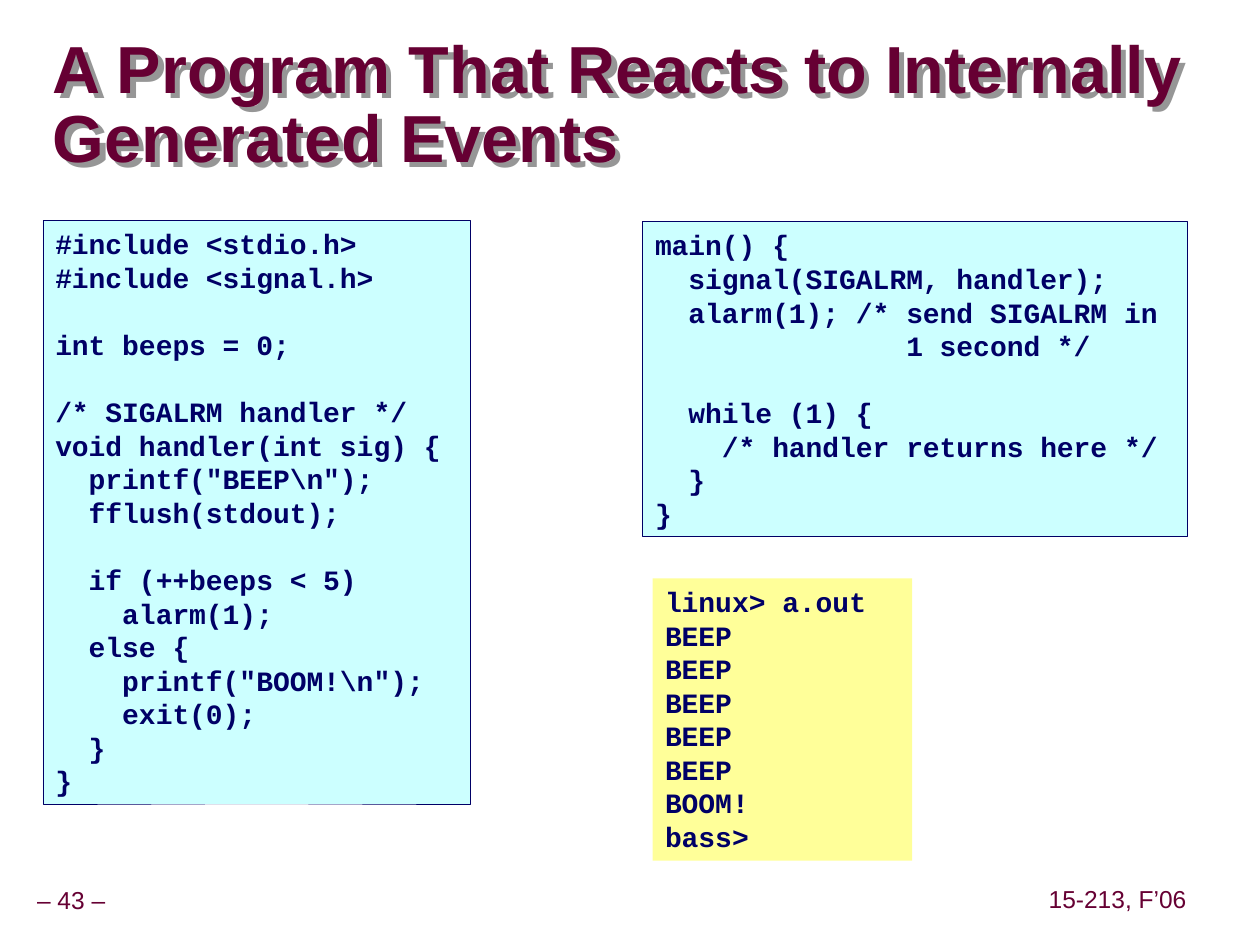
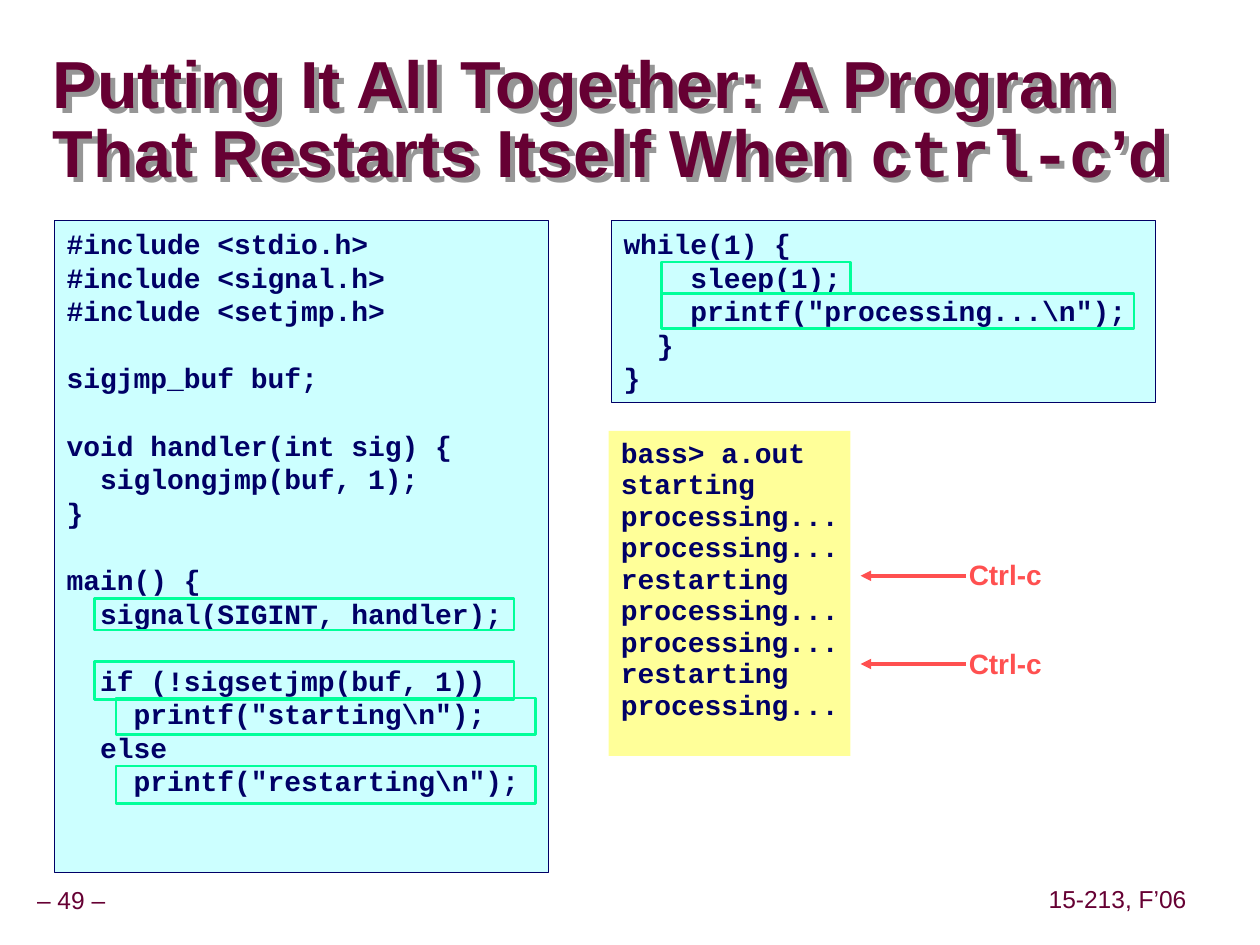
from lxml import etree
from pptx import Presentation
from pptx.dml.color import RGBColor
from pptx.enum.shapes import MSO_CONNECTOR, MSO_SHAPE
from pptx.enum.text import MSO_ANCHOR, PP_ALIGN
from pptx.oxml import parse_xml
from pptx.oxml.ns import nsdecls, qn
from pptx.util import Inches, Pt

COLORS = {
    "maroon": "660033",
    "navy": "000066",
    "code": "CCFFFF",
    "console": "FFFF99",
    "highlight": "00FF99",
    "signal": "FF5050",
    "shadow": "969696",
}
FORMATS = {
    "title": {"name": "Arial", "size": Pt(38), "bold": True, "color": "maroon"},
    "footer": {"name": "Arial", "size": Pt(14), "bold": False, "color": "maroon"},
    "code": {"name": "Courier New", "size": Pt(16), "bold": True, "color": "navy"},
    "signal": {"name": "Arial", "size": Pt(16), "bold": True, "color": "signal"},
}
COURSE = "15-213, F’06"
CODE_LINE = Pt(19.2)  # distance between two lines of 16 pt code

BEEP_HANDLER = r"""#include <stdio.h>
#include <signal.h>

int beeps = 0;

/* SIGALRM handler */
void handler(int sig) {
  printf("BEEP\n");
  fflush(stdout);

  if (++beeps < 5)
    alarm(1);
  else {
    printf("BOOM!\n");
    exit(0);
  }
}"""

BEEP_MAIN = """main() {
  signal(SIGALRM, handler);
  alarm(1); /* send SIGALRM in
               1 second */

  while (1) {
    /* handler returns here */
  }
}"""

BEEP_OUTPUT = "\n".join(["linux> a.out"] + ["BEEP"] * 5 + ["BOOM!", "bass>"])

RESTART_SETUP = r"""#include <stdio.h>
#include <signal.h>
#include <setjmp.h>

sigjmp_buf buf;

void handler(int sig) {
  siglongjmp(buf, 1);
}

main() {
  signal(SIGINT, handler);

  if (!sigsetjmp(buf, 1))
    printf("starting\n");
  else
    printf("restarting\n");"""

RESTART_LOOP = r"""while(1) {
    sleep(1);
    printf("processing...\n");
  }
}"""

RESTART_OUTPUT = """bass> a.out
starting
processing...
processing...
restarting
processing...
processing...
restarting
processing..."""


def rgb(color):
    return RGBColor.from_string(COLORS[color])


class Deck:
    """Holds the shared style and the slide being built."""

    def __init__(self):
        self.prs = Presentation()
        self.prs.slide_width, self.prs.slide_height = Inches(10), Inches(7.5)
        self.slide = None

    def new_slide(self, number):
        self.slide = self.prs.slides.add_slide(self.prs.slide_layouts[6])
        self.footer(f"– {number} –", -0.09, 7, 1.31)
        self.footer(COURSE, 8.27, 6.99, 1.2)

    def style(self, font, kind, **changes):
        for key, value in {**FORMATS[kind], **changes}.items():
            if key == "color":
                font.color.rgb = rgb(value)
            else:
                setattr(font, key, value)

    def frame(self, shape, margins, wrap=True, anchor=MSO_ANCHOR.TOP):
        frame = shape.text_frame
        frame.word_wrap, frame.vertical_anchor = wrap, anchor
        for side, margin in zip(("left", "top", "right", "bottom"), margins):
            setattr(frame, f"margin_{side}", Inches(margin))
        return frame

    def text_box(self, left, top, width, height, margins, **options):
        box = self.slide.shapes.add_textbox(*map(Inches, (left, top, width, height)))
        return box, self.frame(box, margins, **options)

    def footer(self, text, left, top, width):
        _, frame = self.text_box(left, top, width, 0.31, [0.05] * 4,
                                 wrap=False, anchor=MSO_ANCHOR.MIDDLE)
        line = frame.paragraphs[0]
        line.alignment, line.line_spacing = PP_ALIGN.CENTER, 0.9
        run = line.add_run()
        run.text = text
        self.style(run.font, "footer")

    def title(self, top, *parts):
        """Each part is a text and its font name; None starts a new line."""
        box, frame = self.text_box(0.42, top, 9.25, 1.2, [0] * 4,
                                   anchor=MSO_ANCHOR.MIDDLE)
        heading = frame.paragraphs[0]
        heading.line_spacing = 0.87
        for part in parts:
            if part is None:
                heading.add_line_break()
                continue
            run = heading.add_run()
            run.text, font_name = part
            self.style(run.font, "title", name=font_name)
        box._element.spPr.append(parse_xml(
            f'<a:effectLst {nsdecls("a")}><a:outerShdw dist="53882" dir="2700000" '
            f'algn="ctr" rotWithShape="0"><a:srgbClr val="{COLORS["shadow"]}"/>'
            '</a:outerShdw></a:effectLst>'))

    def rectangle(self, left, top, width, height, fill=None, line=None, weight=0.25):
        box = self.slide.shapes.add_shape(
            MSO_SHAPE.RECTANGLE, *map(Inches, (left, top, width, height)))
        box.shadow.inherit = False
        if fill:
            box.fill.solid()
            box.fill.fore_color.rgb = rgb(fill)
        else:
            box.fill.background()
        if line:
            box.line.color.rgb = rgb(line)
            box.line.width = Pt(weight)
        else:
            box.line.fill.background()
        return box

    def listing(self, code, left, top, width, height,
                fill="code", line="navy", spacing=None):
        box = self.rectangle(left, top, width, height, fill, line)
        frame = self.frame(box, (0.1, 0.05, 0.05, 0.05))
        row, gap = frame.paragraphs[0], 0
        for number, text in enumerate(code.split("\n")):
            if not text:
                gap += CODE_LINE
                continue
            if number:
                row = frame.add_paragraph()
            row.alignment = PP_ALIGN.LEFT
            if gap:
                row.space_before = gap
            if spacing:
                row.line_spacing = spacing
            run = row.add_run()
            run.text = text
            self.style(run.font, "code")
            gap = 0

    def console(self, output, left, top, width, height, spacing=None):
        self.listing(output, left, top, width, height, "console", None, spacing)

    def highlight(self, left, top, width, height):
        self.rectangle(left, top, width, height, line="highlight", weight=1.5)

    def key_press(self, text, middle):
        """A label with an arrow that points left at the console."""
        _, frame = self.text_box(7.59, middle - 0.19, 0.78, 0.37,
                                 (0.1, 0.05, 0.1, 0.05), wrap=False)
        run = frame.paragraphs[0].add_run()
        run.text = text
        self.style(run.font, "signal")
        arrow = self.slide.shapes.add_connector(
            MSO_CONNECTOR.STRAIGHT, *map(Inches, (6.83, middle, 7.67, middle)))
        arrow.line.color.rgb = rgb("signal")
        arrow.line.width = Pt(2)
        etree.SubElement(arrow.line._get_or_add_ln(), qn("a:headEnd"), type="triangle")
        etree.SubElement(arrow._element.spPr, qn("a:effectLst"))


def main():
    deck = Deck()

    # Alarm program
    deck.new_slide(43)
    deck.title(0.25, ("A Program That Reacts to Internally Generated Events", "Arial"))
    deck.listing(BEEP_HANDLER, 0.34, 1.75, 3.39, 4.63)
    deck.listing(BEEP_MAIN, 5.1, 1.76, 4.32, 2.5)
    deck.console(BEEP_OUTPUT, 5.18, 4.59, 2.06, 2.24)

    # Restarting program
    deck.new_slide(49)
    deck.title(0.37, ("Putting It All Together: A Program", "Arial"), None,
               ("That Restarts Itself When ", "Arial"),
               ("ctrl-c", "Courier New"), ("’d", "Arial"))
    deck.console(RESTART_OUTPUT, 4.83, 3.42, 1.92, 2.58, spacing=Pt(18))
    deck.listing(RESTART_SETUP, 0.43, 1.75, 3.92, 5.17)
    deck.listing(RESTART_LOOP, 4.85, 1.75, 4.32, 1.44)
    for middle in (4.57, 5.27):
        deck.key_press("Ctrl-c", middle)

    # Statements that matter for the restart
    for statement in ((0.75, 4.75, 3.33, 0.25), (0.92, 5.54, 3.33, 0.29),
                      (0.92, 6.08, 3.33, 0.3), (5.25, 2.33, 3.75, 0.28),
                      (5.25, 2.08, 1.5, 0.25), (0.75, 5.25, 3.33, 0.3)):
        deck.highlight(*statement)

    deck.prs.save("out.pptx")


if __name__ == "__main__":
    main()
